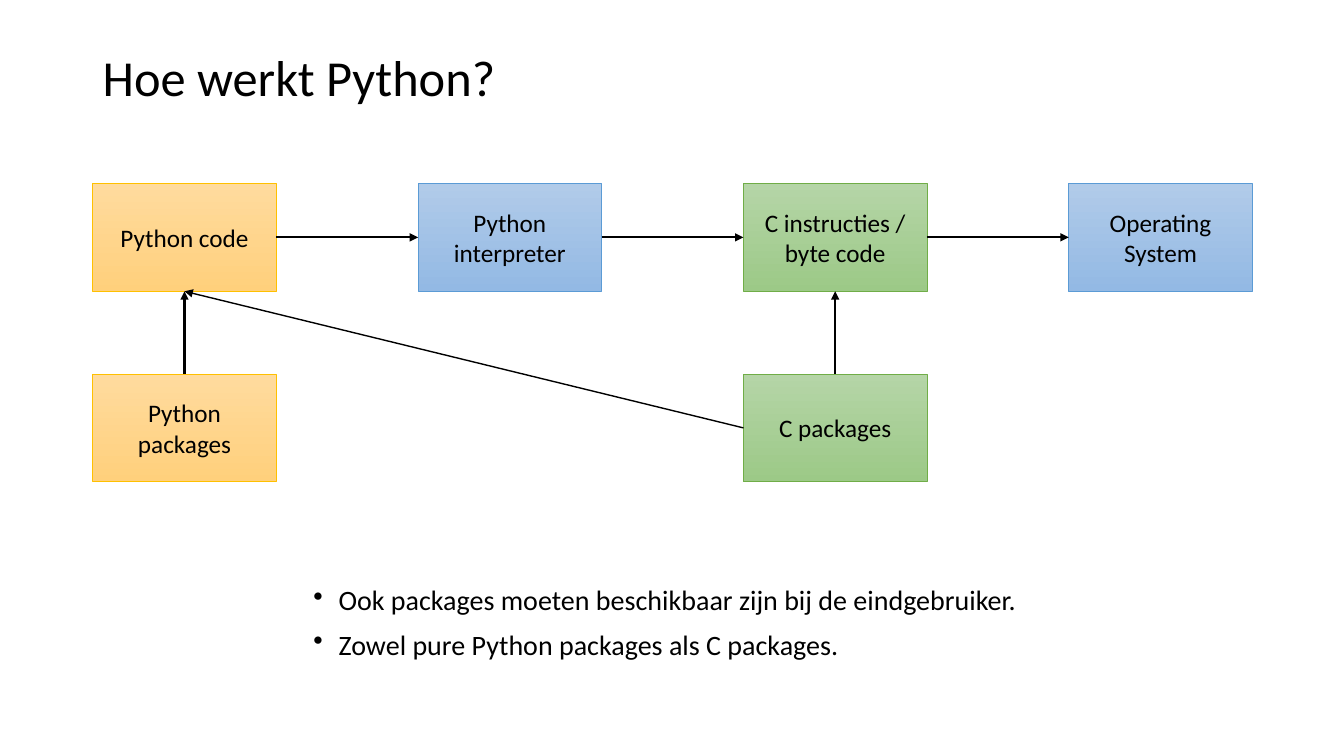
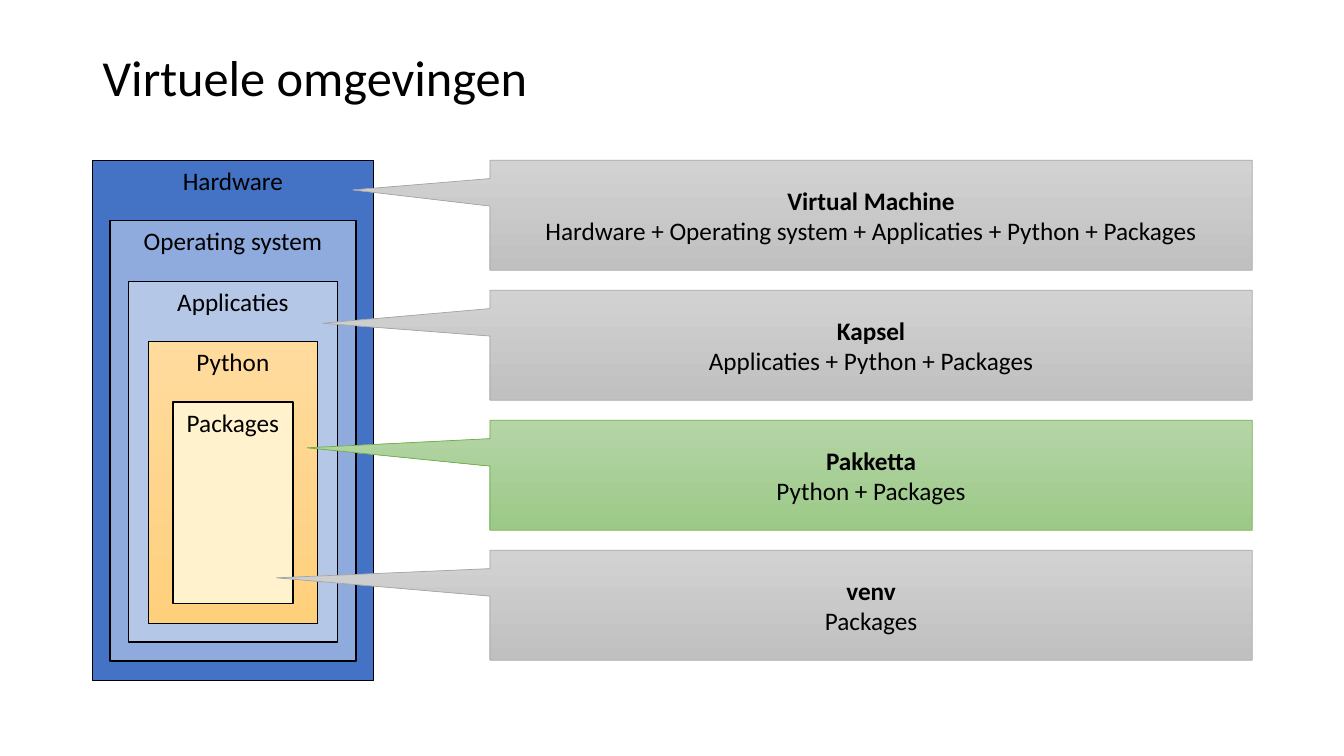
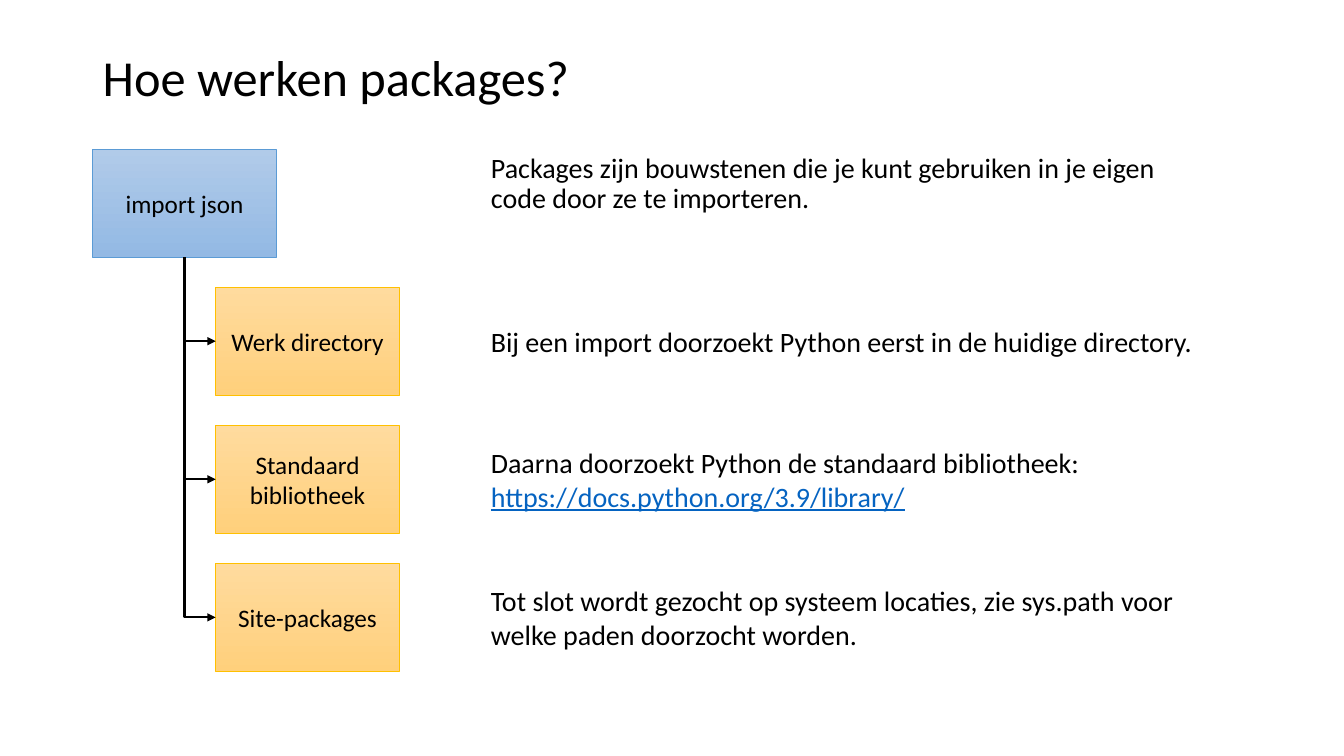
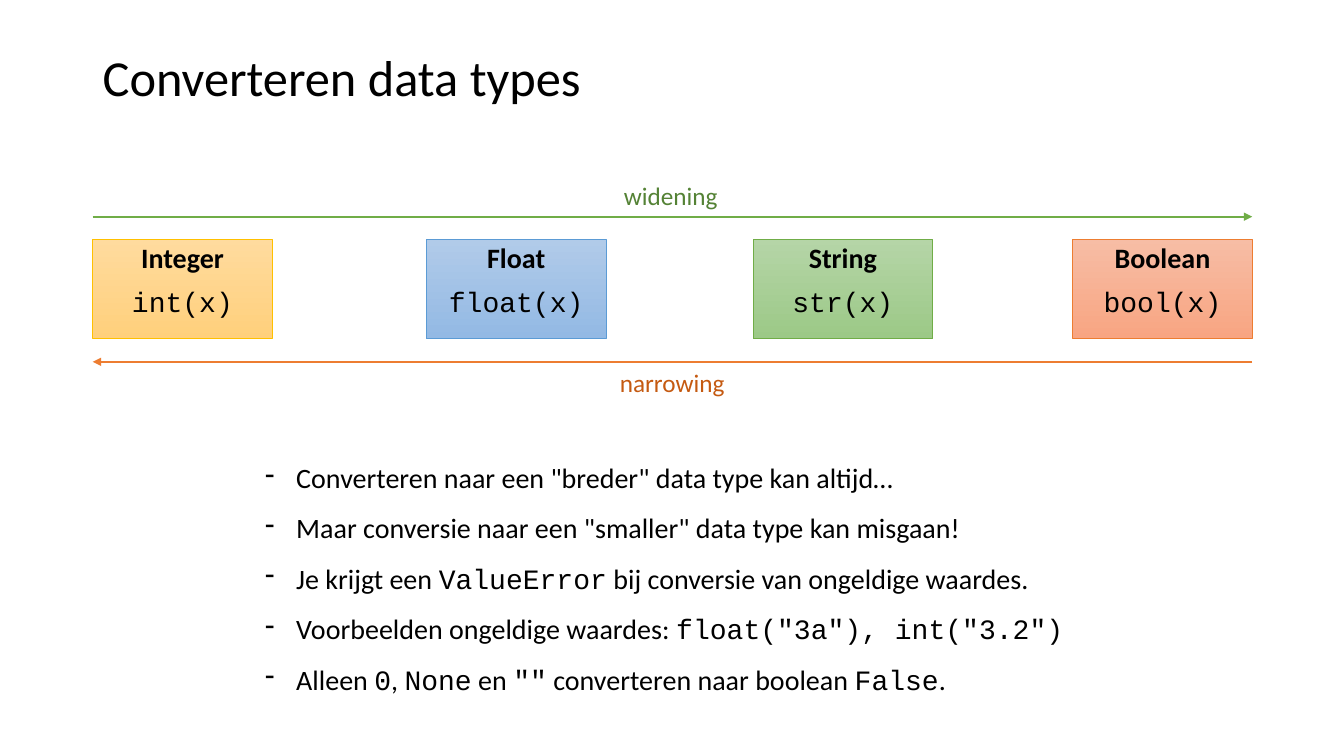
from dataclasses import dataclass
from lxml.etree import SubElement
from pptx import Presentation
from pptx.dml.color import RGBColor
from pptx.enum.shapes import MSO_CONNECTOR, MSO_SHAPE
from pptx.enum.text import MSO_ANCHOR, PP_ALIGN
from pptx.oxml.ns import qn
from pptx.util import Inches, Pt


@dataclass(frozen=True)
class Theme:
    font: str = "Calibri"
    code_font: str = "Courier New"
    title: int = 36
    body: int = 20
    label: int = 18
    black: str = "000000"
    link: str = "0563C1"
    green: str = "70AD47"
    dark_green: str = "548235"
    orange: str = "ED7D31"
    dark_orange: str = "C55A11"
    gold_fill: tuple = ("FFDB9E", "FFD07C")
    blue_fill: tuple = ("B1CBE9", "93B9E4")
    green_fill: tuple = ("B5D5A7", "9CC987")
    grey_fill: tuple = ("D2D2D2", "C0C0C0")
    orange_fill: tuple = ("F7BDA5", "F8A582")
    gold_line: str = "FFC000"
    blue_line: str = "5B9BD5"
    grey_line: str = "A5A5A5"


theme = Theme()
GOLD = {"fill": theme.gold_fill, "line": theme.gold_line}
BLUE = {"fill": theme.blue_fill, "line": theme.blue_line}
GREEN = {"fill": theme.green_fill, "line": theme.green}
GREY = {"fill": theme.grey_fill, "line": theme.grey_line}
ORANGE = {"fill": theme.orange_fill, "line": theme.orange}

BOLD = {"bold": True}
CODE = {"name": theme.code_font}
MIDDLE = {"vertical_anchor": MSO_ANCHOR.MIDDLE}
TOP = {"vertical_anchor": MSO_ANCHOR.TOP}
CENTRED = {"alignment": PP_ALIGN.CENTER}
SPACED = {"line_spacing": 0.9, "space_before": Pt(10)}

LEFT, WIDTH = 0.92, 11.5
RIGHT = LEFT + WIDTH
BOX_WIDTH, BOX_HEIGHT = 1.82, 1.07
TOP_SITE, LEFT_SITE, BOTTOM_SITE, RIGHT_SITE = range(4)


def add_box(page, at, paras, shape=None, fill=None, line=None, line_width=0.5,
            frame=MIDDLE, layout=CENTRED, size=theme.label, ink=theme.black,
            bullet=None, indent=0):
    place = [Inches(length) for length in at]
    if shape is None:
        box = page.shapes.add_textbox(*place)
    else:
        box = page.shapes.add_shape(shape, *place)
        box.shadow.inherit = False
        if isinstance(fill, tuple):
            box.fill.gradient()
            box.fill.gradient_angle = 270
            for stop, colour in zip(box.fill.gradient_stops, fill):
                stop.color.rgb = RGBColor.from_string(colour)
        else:
            box.fill.solid()
            box.fill.fore_color.rgb = RGBColor.from_string(fill)
        box.line.color.rgb = RGBColor.from_string(line)
        box.line.width = Pt(line_width)
    text = box.text_frame
    for key, value in {"word_wrap": True, **frame}.items():
        setattr(text, key, value)
    for number, spans in enumerate(paras):
        para = text.add_paragraph() if number else text.paragraphs[0]
        for key, value in layout.items():
            setattr(para, key, value)
        if bullet:
            properties = para._p.get_or_add_pPr()
            properties.set("marL", str(Inches(indent)))
            properties.set("indent", str(-Inches(indent)))
            SubElement(properties, qn("a:buChar")).set("char", bullet)
        for words, formats in [(spans, {})] if isinstance(spans, str) else spans:
            span = para.add_run()
            span.text = words
            span.font.color.rgb = RGBColor.from_string(ink)
            for key, value in {"name": theme.font, "size": Pt(size), **formats}.items():
                setattr(span.font, key, value)
    return box


def style_arrow(arrow, colour=theme.black, width=1.5, head="a:tailEnd"):
    arrow.line.color.rgb = RGBColor.from_string(colour)
    arrow.line.width = Pt(width)
    properties = arrow._element.spPr
    SubElement(properties.find(qn("a:ln")), qn(head)).set("type", "triangle")
    SubElement(properties, qn("a:effectLst"))


deck = Presentation()
deck.slide_width, deck.slide_height = Inches(13.33), Inches(7.5)
pages = []
for title in ("Hoe werkt Python?", "Virtuele omgevingen",
              "Hoe werken packages?", "Converteren data types"):
    page = deck.slides.add_slide(deck.slide_layouts[6])
    add_box(page, (LEFT, 0.4, WIDTH, 0.79), [title],
            layout={"line_spacing": 0.9}, size=theme.title)
    pages.append(page)
flow_page, layers_page, import_page, types_page = pages

column_step = (WIDTH - BOX_WIDTH) / 3
row_tops = (1.82, 3.71)
steps = {}
for name, column, row, look in (
    ("Python code", 0, 0, GOLD),
    ("Python interpreter", 1, 0, BLUE),
    ("C instructies / byte code", 2, 0, GREEN),
    ("Operating System", 3, 0, BLUE),
    ("Python packages", 0, 1, GOLD),
    ("C packages", 2, 1, GREEN),
):
    steps[column, row] = add_box(
        flow_page,
        (LEFT + column * column_step, row_tops[row], BOX_WIDTH, BOX_HEIGHT),
        [name], MSO_SHAPE.RECTANGLE, **look)

for start, start_site, end, end_site, width in (
    ((0, 0), RIGHT_SITE, (1, 0), LEFT_SITE, 1.5),
    ((1, 0), RIGHT_SITE, (2, 0), LEFT_SITE, 1.5),
    ((2, 0), RIGHT_SITE, (3, 0), LEFT_SITE, 1.5),
    ((0, 1), TOP_SITE, (0, 0), BOTTOM_SITE, 1.5),
    ((2, 1), LEFT_SITE, (0, 0), BOTTOM_SITE, 1),
    ((2, 1), TOP_SITE, (2, 0), BOTTOM_SITE, 1.5),
):
    arrow = flow_page.shapes.add_connector(MSO_CONNECTOR.STRAIGHT, 0, 0, 0, 0)
    arrow.begin_connect(steps[start], start_site)
    arrow.end_connect(steps[end], end_site)
    style_arrow(arrow, width=width)

add_box(flow_page, (3.01, 5.77, 7.3, 1.33),
        ["Ook packages moeten beschikbaar zijn bij de eindgebruiker.",
         "Zowel pure Python packages als C packages."],
        frame=TOP, layout=SPACED, size=theme.body, bullet="•", indent=0.25)

layers_centre, layers_top = 2.31, 1.59
for level, (name, width, fill, line_width) in enumerate((
    ("Hardware", 2.79, "4472C4", 1),
    ("Operating system", 2.44, "8FAADC", 1),
    ("Applicaties", 2.07, "B4C7E7", 1),
    ("Python", 1.68, theme.gold_fill, 0.5),
    ("Packages", 1.19, "FFF2CC", 1),
)):
    add_box(layers_page,
            (layers_centre - width / 2, layers_top + 0.6 * level, width, 5.16 - 0.79 * level),
            [name], MSO_SHAPE.RECTANGLE, fill, theme.black, line_width, frame=TOP)

for row, (name, contents, look, tip) in enumerate((
    ("Virtual Machine", "Hardware + Operating system + Applicaties + Python + Packages",
     GREY, (-0.68, -0.23)),
    ("Kapsel", "Applicaties + Python + Packages", GREY, (-0.72, -0.2)),
    ("Pakketta", "Python + Packages", GREEN, (-0.74, -0.25)),
    ("venv", "Packages", GREY, (-0.78, -0.25)),
)):
    callout = add_box(layers_page, (4.86, layers_top + 1.29 * row, 7.56, 1.09),
                      [[(name, BOLD)], contents], MSO_SHAPE.RECTANGULAR_CALLOUT, **look)
    for number, share in enumerate(tip):
        callout.adjustments[number] = share

import_top, import_step = 1.48, 1.37
text_left, text_width = 4.77, 7.43
statement = add_box(import_page, (LEFT, import_top, BOX_WIDTH, BOX_HEIGHT),
                    ["import json"], MSO_SHAPE.RECTANGLE, **BLUE)
add_box(import_page, (text_left, import_top, 6.81, BOX_HEIGHT),
        ["Packages zijn bouwstenen die je kunt gebruiken in je eigen code door ze te importeren."],
        frame=TOP, layout=SPACED, size=theme.body)

link_format = {"underline": True}
for row, (name, width, explanation) in enumerate((
    ("Werk directory", 1,
     ["Bij een import doorzoekt Python eerst in de huidige directory."]),
    ("Standaard bibliotheek", 1.5,
     ["Daarna doorzoekt Python de standaard bibliotheek:",
      [("https://docs.python.org/3.9/library/", link_format)]]),
    ("Site-packages", 1.5,
     ["Tot slot wordt gezocht op systeem locaties, zie sys.path voor welke paden doorzocht worden."]),
), start=1):
    top = import_top + row * import_step
    place = add_box(import_page, (2.14, top, BOX_WIDTH, BOX_HEIGHT),
                    [name], MSO_SHAPE.RECTANGLE, **GOLD)
    arrow = import_page.shapes.add_connector(MSO_CONNECTOR.ELBOW, 0, 0, 0, 0)
    arrow.begin_connect(place, LEFT_SITE)
    arrow.end_connect(statement, BOTTOM_SITE)
    arrow._element.spPr.find(qn("a:prstGeom")).set("prst", "bentConnector2")
    style_arrow(arrow, width=width, head="a:headEnd")
    note = add_box(import_page, (text_left, top, text_width, BOX_HEIGHT),
                   explanation, layout={}, size=theme.body)
    for para in note.text_frame.paragraphs:
        for span in para.runs:
            if span.font.underline:
                span.font.color.rgb = RGBColor.from_string(theme.link)

for name, call, left, look in (
    ("Integer", "int(x)", LEFT, GOLD),
    ("Float", "float(x)", 4.23, BLUE),
    ("String", "str(x)", 7.47, GREEN),
    ("Boolean", "bool(x)", 10.64, ORANGE),
):
    add_box(types_page, (left, 2.37, 1.78, 0.99), [[(name, BOLD)], [(call, CODE)]],
            MSO_SHAPE.RECTANGLE, frame=TOP, layout={**CENTRED, **SPACED},
            size=theme.body, **look)

for name, start, end, height, label_at, colour, ink in (
    ("widening", LEFT, RIGHT, 2.15, (6.09, 1.74, 1.14, 0.4), theme.green, theme.dark_green),
    ("narrowing", RIGHT, LEFT, 3.59, (6.05, 3.59, 1.25, 0.4), theme.orange, theme.dark_orange),
):
    arrow = types_page.shapes.add_connector(
        MSO_CONNECTOR.STRAIGHT, *(Inches(length) for length in (start, height, end, height)))
    style_arrow(arrow, colour)
    add_box(types_page, label_at, [name], frame={**TOP, "word_wrap": False},
            layout={}, ink=ink)

add_box(types_page, (2.53, 4.52, 8.28, 2.44), [
    "Converteren naar een \"breder\" data type kan altijd…",
    "Maar conversie naar een \"smaller\" data type kan misgaan!",
    [("Je krijgt een ", {}), ("ValueError", CODE),
     (" bij conversie van ongeldige waardes.", {})],
    [("Voorbeelden ongeldige waardes: ", {}), ("float(\"3a\"), int(\"3.2\")", CODE)],
    [("Alleen ", {}), ("0", CODE), (", ", {}), ("None", CODE), (" en ", {}),
     ("\"\"", CODE), (" converteren naar boolean ", {}), ("False", CODE), (".", {})],
], frame=TOP, layout={"space_before": Pt(12)}, size=theme.body, bullet="-", indent=0.31)

deck.save("out.pptx")
